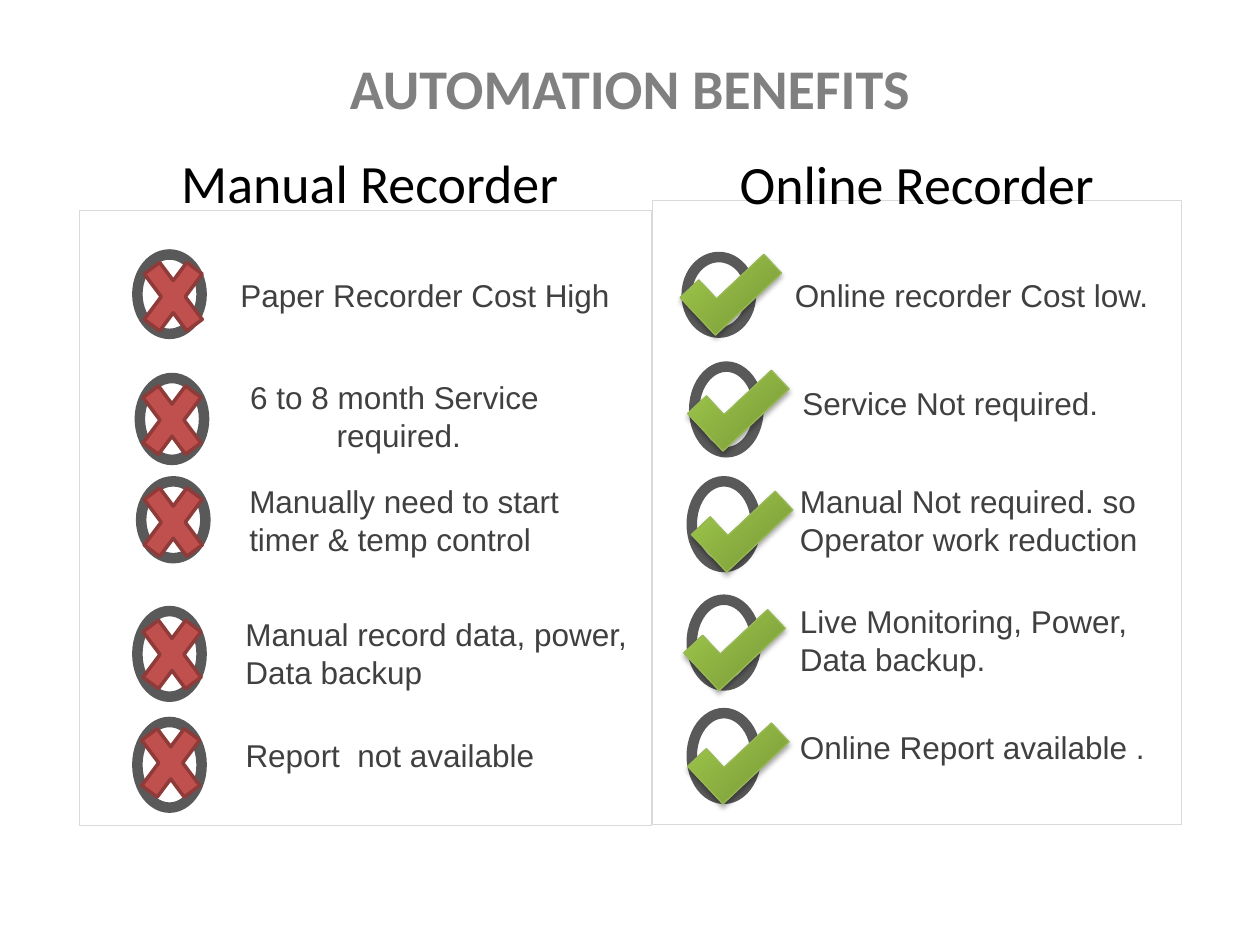
from lxml.etree import SubElement
from pptx import Presentation
from pptx.dml.color import RGBColor
from pptx.enum.shapes import MSO_SHAPE
from pptx.enum.text import MSO_ANCHOR, MSO_AUTO_SIZE, PP_ALIGN
from pptx.oxml import parse_xml
from pptx.oxml.ns import nsdecls, qn
from pptx.util import Inches, Pt

COLORS = {
    "title": "808080", "head": "000000", "text": "404040",
    "panel": "FFFFFF", "edge": "D9D9D9", "ring": "595959",
    "cross": "C0504D", "cross_edge": "8E3B39", "tick_edge": "98B955",
    "tick_dark": "779737", "tick_mid": "9BC348", "tick_light": "9DC746",
    "shadow": "000000",
}
LEFT, MID = PP_ALIGN.LEFT, PP_ALIGN.CENTER

# Each row: ring (left, top, height), text box (left, top, width, height),
# mark (left, top), alignment, lines
MANUAL = [
    ((1.09, 2.02, 0.63), (1.81, 2.14, 3.16, 0.4), (1.05, 1.92), LEFT,
     ["Paper Recorder Cost High"]),
    ((1.11, 3, 0.65), (1.87, 2.95, 2.59, 0.68), (1.04, 2.9), MID,
     ["6 to 8 month Service ", "required."]),
    ((1.12, 3.82, 0.61), (1.88, 3.78, 2.75, 0.71), (1.05, 3.71), LEFT,
     ["Manually need to start", "timer & temp control"]),
    ((1.09, 4.85, 0.68), (1.85, 4.83, 3.33, 0.71), (1.04, 4.76), LEFT,
     ["Manual record data, power,", "Data backup"]),
    ((1.09, 5.73, 0.68), (1.85, 5.79, 2.52, 0.4), (1.03, 5.62), LEFT,
     ["Report  not available"]),
]
ONLINE = [
    ((5.45, 2.04, 0.6), (6.21, 2.14, 3.03, 0.4), (5.44, 2.06), LEFT,
     ["Online recorder Cost low."]),
    ((5.51, 2.91, 0.68), (6.27, 3, 2.57, 0.4), (5.5, 2.98), LEFT,
     ["Service Not required."]),
    ((5.49, 3.82, 0.68), (6.25, 3.78, 2.91, 0.71), (5.53, 3.94), LEFT,
     ["Manual Not required. so", "Operator work reduction"]),
    ((5.49, 4.76, 0.68), (6.25, 4.73, 2.82, 0.71), (5.47, 4.88), LEFT,
     ["Live Monitoring, Power,", "Data backup."]),
    ((5.49, 5.66, 0.68), (6.25, 5.73, 2.96, 0.4), (5.5, 5.78), LEFT,
     ["Online Report available ."]),
]


def color(name):
    return RGBColor.from_string(COLORS[name])


def add_shape(shapes, kind, box, fill, line, width):
    shape = shapes.add_shape(kind, *map(Inches, box))
    shape.shadow.inherit = False
    if fill:
        shape.fill.solid()
        shape.fill.fore_color.rgb = color(fill)
    else:
        shape.fill.background()
    shape.line.color.rgb = color(line)
    shape.line.width = Pt(width)
    return shape


def add_text(shapes, box, lines, font, size, tint, align, bold=False):
    shape = shapes.add_textbox(*map(Inches, box))
    frame = shape.text_frame
    frame.text = "\n".join(lines)
    for para in frame.paragraphs:
        para.alignment = align
        for run in para.runs:
            run.font.name = font
            run.font.size = Pt(size)
            run.font.bold = bold
            run.font.color.rgb = color(tint)
    return frame


def add_head(shapes, box, text, size, tint, bold=False):
    frame = add_text(shapes, box, [text], "Calibri", size, tint, MID, bold)
    frame.word_wrap = True
    frame.vertical_anchor = MSO_ANCHOR.MIDDLE


def add_item(shapes, ring, box, align, lines):
    """Group a ring with its text."""
    left, top, height = ring
    group = shapes.add_group_shape().shapes
    add_shape(group, MSO_SHAPE.OVAL, (left, top, 0.51, height), None, "ring", 6)
    frame = add_text(group, box, lines, "Arial", 18, "text", align)
    frame.word_wrap = False
    frame.auto_size = MSO_AUTO_SIZE.SHAPE_TO_FIT_TEXT


def add_cross(shapes, spot):
    add_shape(shapes, MSO_SHAPE.MATH_MULTIPLY, (*spot, 0.65, 0.87),
              "cross", "cross_edge", 2)


def add_tick(shapes, spot):
    """Turn an L shape into a tick with a gradient and a soft shadow."""
    tick = add_shape(shapes, MSO_SHAPE.CORNER, (*spot, 0.72, 0.41),
                     "tick_mid", "tick_edge", 0.75)
    tick.rotation = 316.8
    props = tick.element.spPr
    stops = [(0, "tick_dark"), (80, "tick_mid"), (100, "tick_light")]
    marks = "".join(
        f'<a:gs pos="{pos * 1000}"><a:srgbClr val="{COLORS[name]}"/></a:gs>'
        for pos, name in stops)
    grad = parse_xml(
        f'<a:gradFill {nsdecls("a")} rotWithShape="1"><a:gsLst>{marks}</a:gsLst>'
        '<a:lin ang="16200000" scaled="0"/></a:gradFill>')
    props.replace(props.find(qn("a:solidFill")), grad)
    shade = SubElement(props.find(qn("a:effectLst")), qn("a:outerShdw"),
                       blurRad=str(Pt(3.1)), dist=str(Pt(1.8)),
                       dir="5400000", rotWithShape="0")
    tint = SubElement(shade, qn("a:srgbClr"), val=COLORS["shadow"])
    SubElement(tint, qn("a:alpha"), val="35000")


def main():
    deck = Presentation()
    deck.slide_width, deck.slide_height = Inches(10), Inches(7.5)
    shapes = deck.slides.add_slide(deck.slide_layouts[6]).shapes

    add_head(shapes, (0.5, 0.3, 9, 0.78), "AUTOMATION BENEFITS", 32, "title", True)
    for box in [(5.18, 1.59, 4.2, 4.95), (0.63, 1.67, 4.54, 4.88)]:
        add_shape(shapes, MSO_SHAPE.RECTANGLE, box, "panel", "edge", 0.5)
    add_head(shapes, (1.31, 1.13, 3.25, 0.62), "Manual Recorder", 30.8, "head")
    add_head(shapes, (5.7, 1.14, 3.25, 0.62), "Online Recorder ", 30.8, "head")

    for rows, add_mark in [(MANUAL, add_cross), (ONLINE, add_tick)]:
        for ring, box, spot, align, lines in rows:
            add_item(shapes, ring, box, align, lines)
            add_mark(shapes, spot)

    deck.save("out.pptx")


if __name__ == "__main__":
    main()
